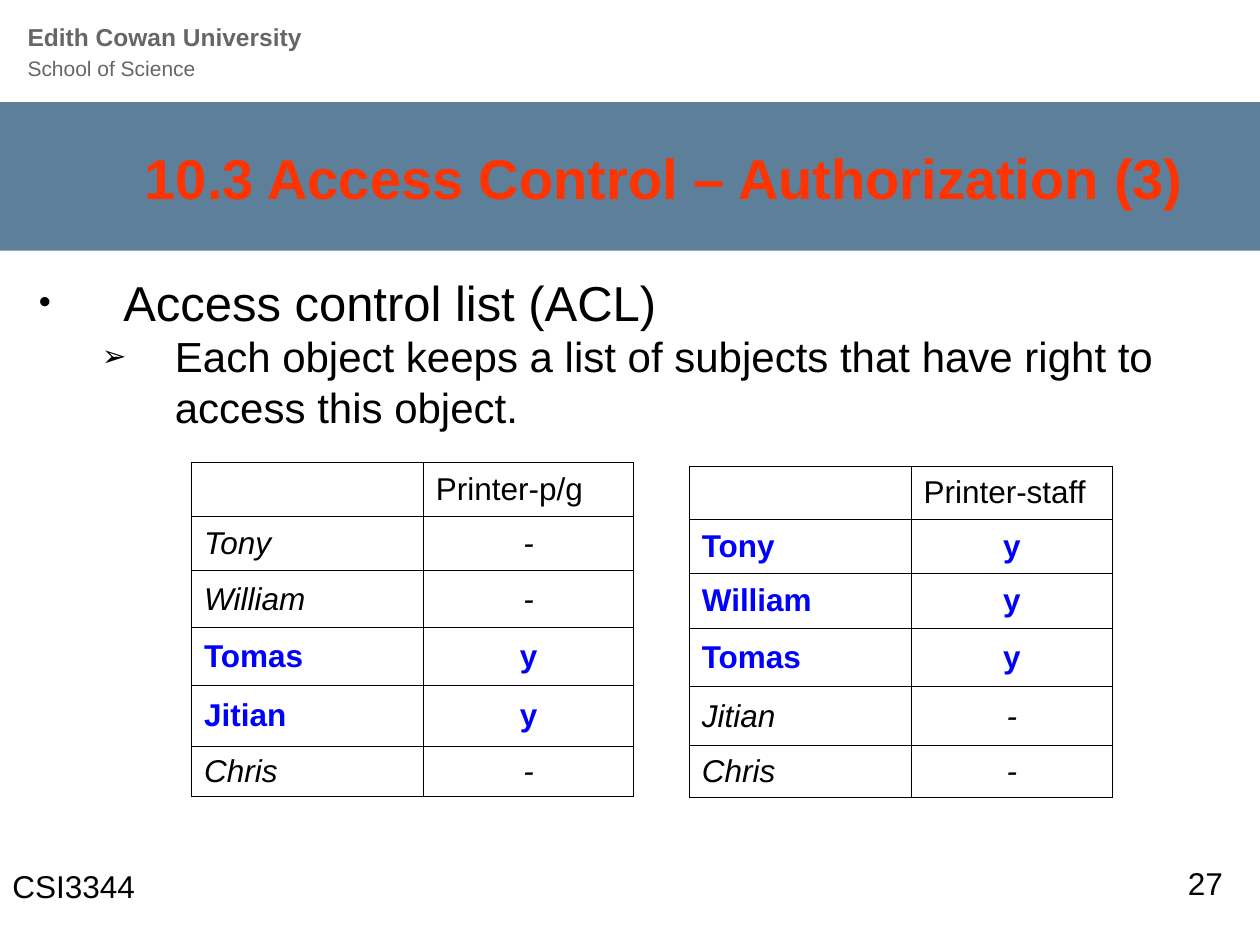
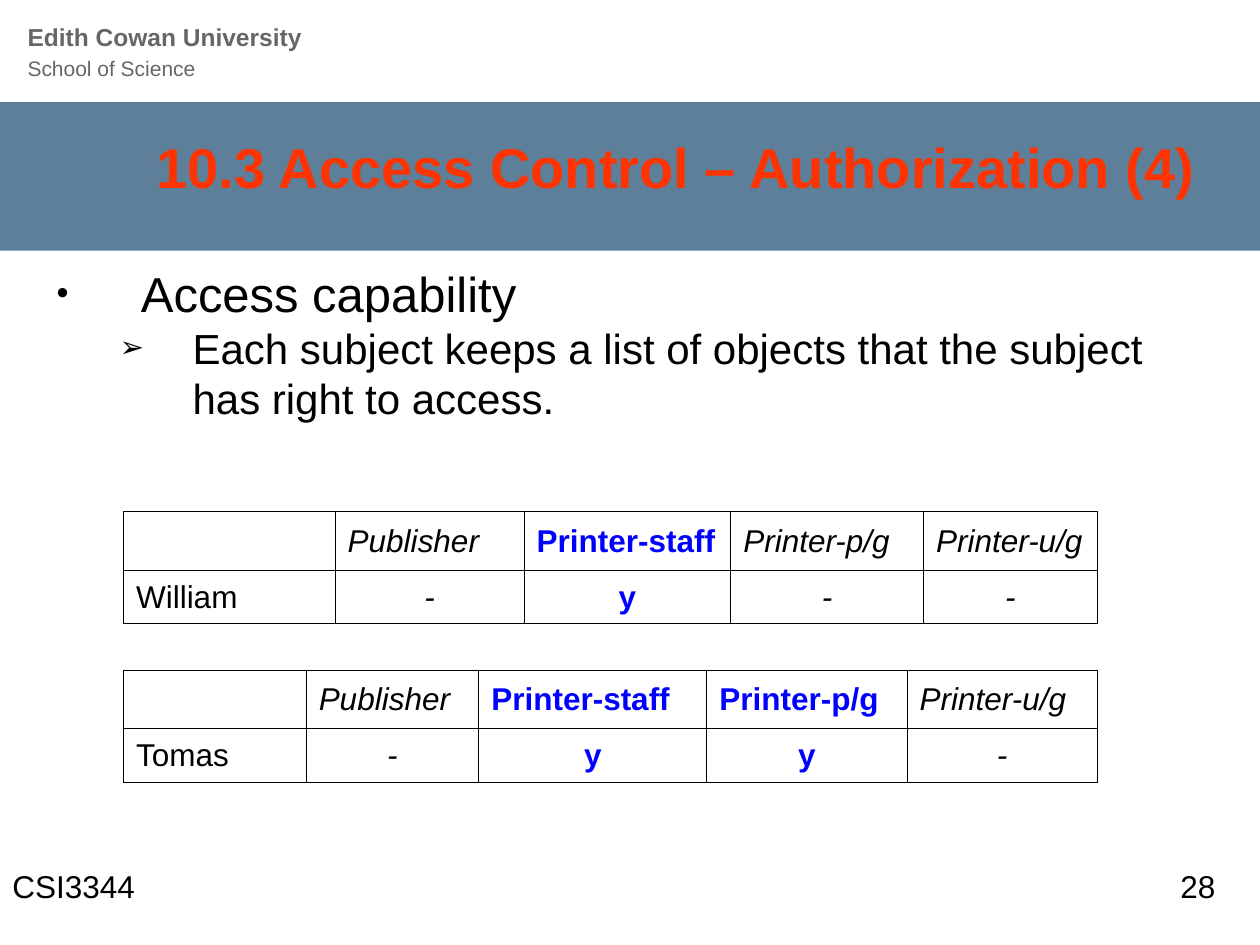
from dataclasses import dataclass
from typing import NamedTuple

from lxml.etree import SubElement
from pptx import Presentation
from pptx.dml.color import RGBColor
from pptx.enum.shapes import MSO_SHAPE
from pptx.enum.text import MSO_ANCHOR, MSO_AUTO_SIZE, PP_ALIGN
from pptx.oxml.ns import qn
from pptx.util import Inches, Pt

COLOURS = {
    "band": "5D7F9A",
    "title": "FF3300",
    "header": "666666",
    "text": "000000",
    "granted": "0000FF",
}
FONT = "Arial"
BORDER_WIDTH = Pt(0.45)


class Place(NamedTuple):
    left: float
    top: float
    width: float
    height: float

    def lengths(self) -> list:
        return [Inches(value) for value in self]


class Style(NamedTuple):
    size: float
    colour: str = "text"
    bold: bool = False
    italic: bool = False


class Bullet(NamedTuple):
    symbol: str
    level: int
    margin: float
    hanging: float
    style: Style


PLAIN = Style(18)
GRANTED = Style(18, "granted", bold=True)
DENIED = Style(18, italic=True)
BULLETS = (
    Bullet("•", 0, 0.67, 0.67, Style(28)),
    Bullet("➢", 1, 1.08, 0.58, Style(24)),
)


@dataclass
class RightsTable:
    owner: str
    rights: dict[str, bool]
    place: Place
    columns: list[float]
    rows: list[float]
    across: bool = False

    def grid(self) -> list:
        lines = [(("", PLAIN), (self.owner, PLAIN))]
        for name, allowed in self.rights.items():
            style = GRANTED if allowed else DENIED
            lines.append(((name, style), ("y" if allowed else "-", style)))
        return list(zip(*lines)) if self.across else lines


@dataclass
class Topic:
    title: str
    title_place: Place
    points: tuple[str, str]
    points_place: Place
    number: str
    number_place: Place
    tables: list[RightsTable]


TOPICS = [
    Topic(
        "10.3 Access Control – Authorization (3)",
        Place(0.5, 1.07, 9, 0.67),
        (
            "Access control list (ACL)",
            "Each object keeps a list of subjects that have right to access this object.",
        ),
        Place(0.21, 2.11, 9.58, 1.58),
        "27",
        Place(9.33, 6.81, 0.67, 0.5),
        [
            RightsTable(
                "Printer-p/g",
                {"Tony": False, "William": False, "Tomas": True, "Jitian": True, "Chris": False},
                Place(1.52, 3.67, 3.51, 2.64),
                [1.84, 1.67],
                [0.43, 0.43, 0.45, 0.46, 0.48, 0.4],
            ),
            RightsTable(
                "Printer-staff",
                {"Tony": True, "William": True, "Tomas": True, "Jitian": False, "Chris": False},
                Place(5.47, 3.7, 3.36, 2.62),
                [1.76, 1.6],
                [0.42, 0.43, 0.44, 0.46, 0.47, 0.41],
            ),
        ],
    ),
    Topic(
        "10.3 Access Control – Authorization (4)",
        Place(0.59, 0.96, 9, 0.71),
        (
            "Access capability",
            "Each subject keeps a list of objects that the subject has right to access.",
        ),
        Place(0.35, 2.04, 8.92, 1.67),
        "28",
        Place(9.27, 6.83, 0.73, 0.5),
        [
            RightsTable(
                "William",
                {"Publisher": False, "Printer-staff": True, "Printer-p/g": False, "Printer-u/g": False},
                Place(0.98, 4.06, 7.72, 0.89),
                [1.68, 1.5, 1.64, 1.53, 1.38],
                [0.47, 0.42],
                across=True,
            ),
            RightsTable(
                "Tomas",
                {"Publisher": False, "Printer-staff": True, "Printer-p/g": True, "Printer-u/g": False},
                Place(0.98, 5.32, 7.72, 0.89),
                [1.45, 1.37, 1.81, 1.59, 1.51],
                [0.46, 0.43],
                across=True,
            ),
        ],
    ),
]


def add_span(para, text: str, style: Style) -> None:
    span = para.add_run()
    span.text = text
    font = span.font
    font.name = FONT
    font.size = Pt(style.size)
    font.bold = style.bold
    font.italic = style.italic
    font.color.rgb = RGBColor.from_string(COLOURS[style.colour])


def add_box(page, place: Place):
    frame = page.shapes.add_textbox(*place.lengths()).text_frame
    frame.word_wrap = True
    return frame


def add_label(page, text: str, place: Place) -> None:
    add_span(add_box(page, place).paragraphs[0], text, PLAIN)


def add_header(page) -> None:
    band = page.shapes.add_shape(MSO_SHAPE.RECTANGLE, *Place(0, 0.81, 10.04, 1.18).lengths())
    band.shadow.inherit = False
    band.fill.solid()
    band.fill.fore_color.rgb = RGBColor.from_string(COLOURS["band"])
    band.line.fill.background()
    para = add_box(page, Place(0.12, 0.13, 5.89, 0.57)).paragraphs[0]
    para.line_spacing = Pt(16.7)
    add_span(para, "Edith Cowan University", Style(14, "header", bold=True))
    para.add_line_break()
    add_span(para, "School of Science", Style(12, "header"))


def set_title(page, text: str, place: Place) -> None:
    title = page.shapes.title
    page.shapes.element.append(title.element)
    title.left, title.top, title.width, title.height = place.lengths()
    frame = title.text_frame
    frame.auto_size = MSO_AUTO_SIZE.NONE
    frame.vertical_anchor = MSO_ANCHOR.MIDDLE
    para = frame.paragraphs[0]
    para.alignment = PP_ALIGN.RIGHT
    add_span(para, text, Style(32, "title", bold=True))


def set_bullet(para, bullet: Bullet) -> None:
    para.level = bullet.level
    properties = para._p.get_or_add_pPr()
    properties.set("marL", str(Inches(bullet.margin)))
    properties.set("indent", str(-Inches(bullet.hanging)))
    colour = SubElement(properties, qn("a:buClr"))
    SubElement(colour, qn("a:srgbClr"), val=COLOURS["text"])
    SubElement(properties, qn("a:buSzPct"), val="70000")
    SubElement(properties, qn("a:buFont"), typeface=FONT)
    SubElement(properties, qn("a:buChar"), char=bullet.symbol)


def add_points(page, points: tuple[str, str], place: Place) -> None:
    frame = add_box(page, place)
    for index, (text, bullet) in enumerate(zip(points, BULLETS)):
        para = frame.add_paragraph() if index else frame.paragraphs[0]
        set_bullet(para, bullet)
        add_span(para, text, bullet.style)


def set_borders(cell) -> None:
    properties = cell._tc.get_or_add_tcPr()
    for side in ("lnL", "lnR", "lnT", "lnB"):
        line = SubElement(properties, qn(f"a:{side}"), w=str(BORDER_WIDTH))
        fill = SubElement(line, qn("a:solidFill"))
        SubElement(fill, qn("a:srgbClr"), val=COLOURS["text"])


def add_rights_table(page, spec_table: RightsTable) -> None:
    grid = spec_table.grid()
    table = page.shapes.add_table(len(grid), len(grid[0]), *spec_table.place.lengths()).table
    table.first_row = table.horz_banding = False
    for column, width in zip(table.columns, spec_table.columns):
        column.width = Inches(width)
    for row, height, line in zip(table.rows, spec_table.rows, grid):
        row.height = Inches(height)
        for cell, (text, style) in zip(row.cells, line):
            set_borders(cell)
            cell.fill.background()
            cell.vertical_anchor = MSO_ANCHOR.MIDDLE
            if text:
                para = cell.text_frame.paragraphs[0]
                para.alignment = PP_ALIGN.CENTER if text in ("y", "-") else PP_ALIGN.LEFT
                add_span(para, text, style)


def add_topic(deck, topic: Topic) -> None:
    page = deck.slides.add_slide(deck.slide_layouts.get_by_name("Title Only"))
    add_header(page)
    set_title(page, topic.title, topic.title_place)
    add_points(page, topic.points, topic.points_place)
    add_label(page, "CSI3344", Place(0, 6.83, 2.33, 0.5))
    add_label(page, topic.number, topic.number_place)
    for rights_table in topic.tables:
        add_rights_table(page, rights_table)


def main() -> None:
    """Build the access control slides and save the deck."""
    deck = Presentation()
    deck.slide_width, deck.slide_height = Inches(10), Inches(7.5)
    for topic in TOPICS:
        add_topic(deck, topic)
    deck.save("out.pptx")


if __name__ == "__main__":
    main()
